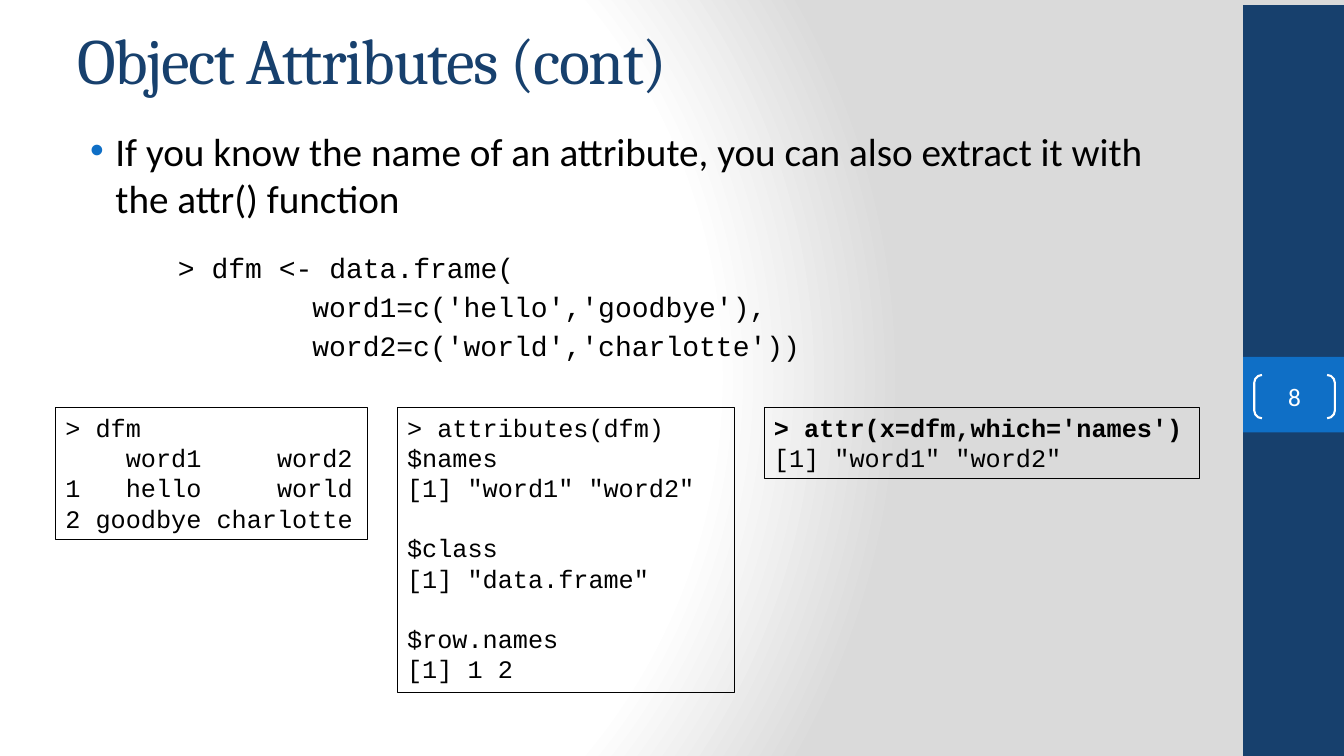
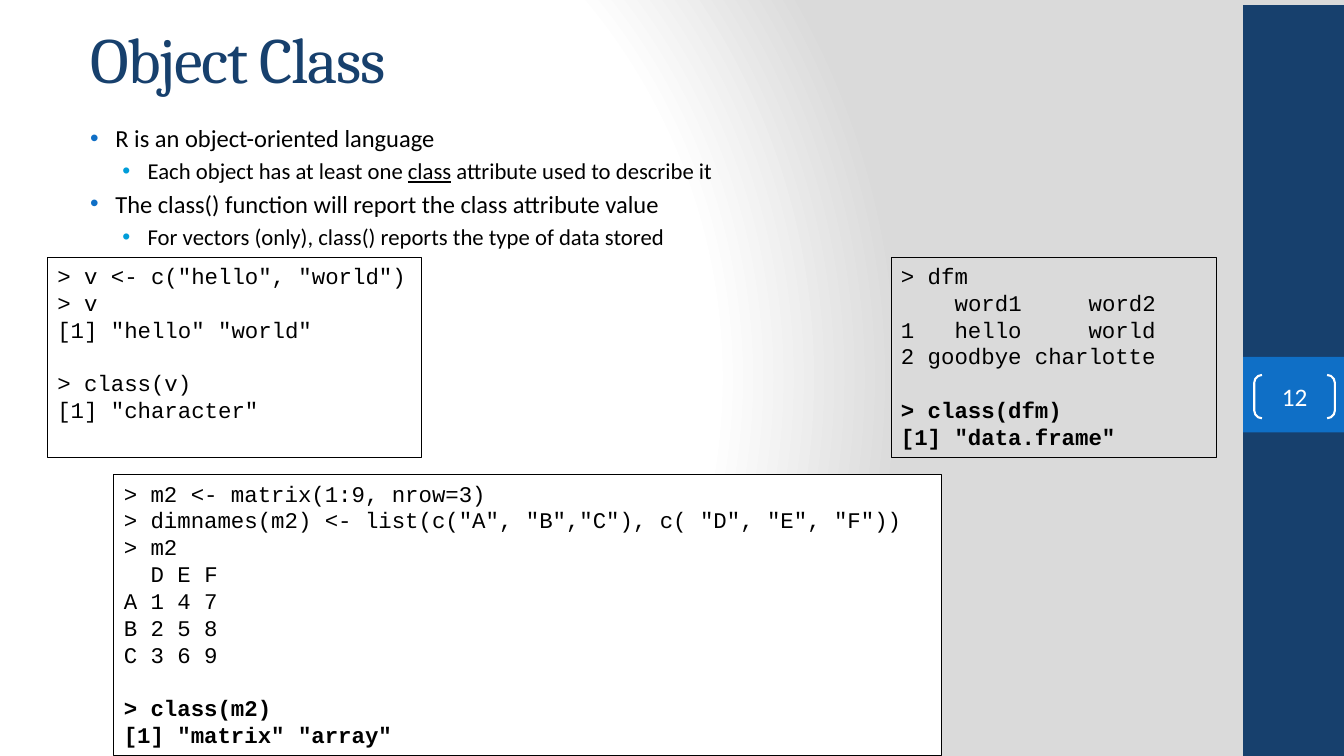
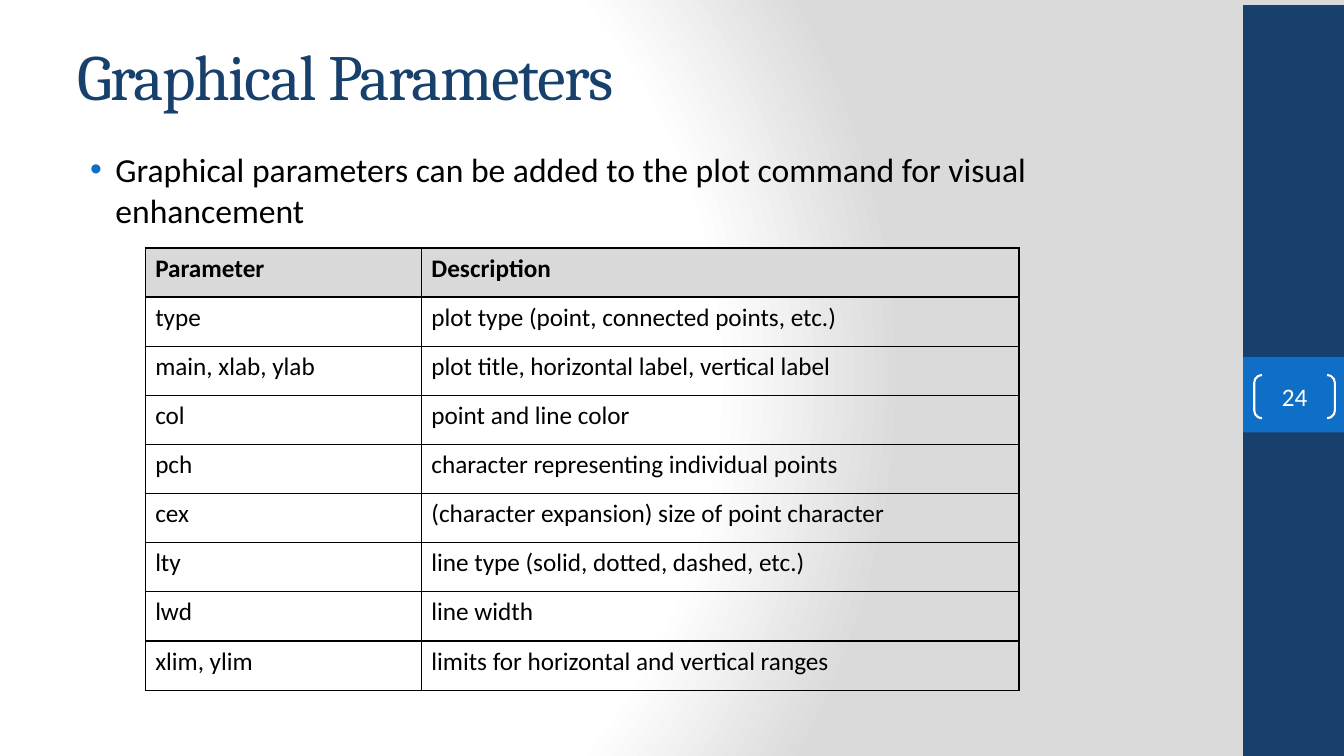
from lxml.etree import SubElement
from pptx import Presentation
from pptx.dml.color import RGBColor
from pptx.enum.shapes import MSO_SHAPE as Preset
from pptx.enum.text import MSO_ANCHOR as Anchor, PP_ALIGN as Align
from pptx.oxml import parse_xml
from pptx.oxml.ns import nsdecls, qn
from pptx.util import Inches, Pt

COLOURS = {
    "navy": "17406D",
    "blue": "0F6FC6",
    "cyan": "009DD9",
    "white": "FFFFFF",
    "black": "000000",
    "grey": "DADADA",
    "header": "D9D9D9",
}
HEADING, BODY, CODE = "Cambria", "Calibri", "Courier New"
WIDTH, HEIGHT = Inches(13.333), Inches(7.5)
COLUMN, ROW = WIDTH / 40, HEIGHT / 30
LEFT, TEXT_WIDTH = 2, 33.33
CHARACTER, GROUP_GAP = 0.6, 1.18
BULLETS = [("blue", 0.38), ("cyan", 0.7)]
HANGING = -0.25


def grid(left, top, width, height):
    return (round(left * COLUMN), round(top * ROW),
            round(width * COLUMN), round(height * ROW))


def colour(name):
    return RGBColor.from_string(COLOURS[name])


def style(paragraph, font, size, ink="black", bold=False):
    for run in paragraph.runs:
        run.font.name = font
        run.font.size = Pt(size)
        run.font.bold = bold
        run.font.color.rgb = colour(ink)


def set_indent(paragraph, margin, first_line=0):
    properties = paragraph._p.get_or_add_pPr()
    properties.set("marL", str(Inches(margin)))
    properties.set("indent", str(Inches(first_line)))


def next_paragraph(frame):
    last = frame.paragraphs[-1]
    return frame.add_paragraph() if last.runs else last


def add_text_box(slide, box):
    shape = slide.shapes.add_textbox(*grid(*box))
    shape.text_frame.word_wrap = True
    return shape


def set_background(master):
    master.background.fill.solid()
    solid = master.element.find(".//" + qn("p:bgPr"))[0]
    stops = "".join(
        f'<a:gs pos="{share * 1000}"><a:srgbClr val="{COLOURS[name]}"/></a:gs>'
        for share, name in [(0, "white"), (75, "white"), (100, "grey")])
    solid.getparent().replace(solid, parse_xml(
        f'<a:gradFill {nsdecls("a")} rotWithShape="1"><a:gsLst>{stops}</a:gsLst>'
        '<a:path path="circle"><a:fillToRect l="20000" t="50000" r="100000"'
        ' b="50000"/></a:path></a:gradFill>'))


def add_band(slide, box, fill):
    band = slide.shapes.add_shape(Preset.RECTANGLE, *grid(*box))
    band.shadow.inherit = False
    band.fill.solid()
    band.fill.fore_color.rgb = colour(fill)
    band.line.fill.background()


def add_page_number(slide, number):
    bracket = slide.shapes.add_shape(
        Preset.DOUBLE_BRACKET, *grid(37.33, 14.88, 2.4, 1.72))
    bracket.adjustments[0] = 0.179
    bracket.shadow.inherit = False
    bracket.fill.background()
    bracket.line.color.rgb = colour("white")
    bracket.line.width = Pt(1.5)
    frame = bracket.text_frame
    frame.margin_left = frame.margin_right = 0
    frame.margin_top = frame.margin_bottom = 0
    frame.vertical_anchor = Anchor.MIDDLE
    frame.text = str(number)
    frame.paragraphs[0].alignment = Align.CENTER
    style(frame.paragraphs[0], BODY, 18, "white")


def add_title(slide, text, top, height, indent):
    frame = add_text_box(slide, (LEFT, top, TEXT_WIDTH, height)).text_frame
    frame.vertical_anchor = Anchor.MIDDLE
    frame.text = text
    paragraph = frame.paragraphs[0]
    set_indent(paragraph, indent)
    style(paragraph, HEADING, 46, "navy")
    paragraph.runs[0].font._element.set("spc", "-100")


def start_slide(presentation, title, number, top, height, indent=0):
    slide = presentation.slides.add_slide(presentation.slide_layouts[6])
    add_band(slide, (37, 0.2, 3, 29.8), "navy")
    add_band(slide, (37, 14.16, 3, 3), "blue")
    add_title(slide, title, top, height, indent)
    add_page_number(slide, number)
    return slide


def add_body(slide, top, height):
    return add_text_box(slide, (LEFT, top, TEXT_WIDTH, height)).text_frame


def add_bullet(frame, text, size, level=0):
    ink, margin = BULLETS[level]
    paragraph = next_paragraph(frame)
    paragraph.level = level
    for position, part in enumerate(text.split("|")):
        run = paragraph.add_run()
        run.text = part
        run.font.underline = position % 2 == 1
    style(paragraph, BODY, size)
    paragraph.space_before = Pt(3.3)
    set_indent(paragraph, margin, HANGING)
    properties = paragraph._p.get_or_add_pPr()
    SubElement(SubElement(properties, qn("a:buClr")),
               qn("a:srgbClr")).set("val", COLOURS[ink])
    SubElement(properties, qn("a:buFont")).set("typeface", "Arial")
    SubElement(properties, qn("a:buChar")).set("char", "•")


def add_code_line(frame, text, size, margin=0, before=0, bold=False):
    code = text.lstrip(" ")
    paragraph = next_paragraph(frame)
    paragraph.text = code
    style(paragraph, CODE, size, bold=bold)
    paragraph.space_before = Pt(before)
    leading = len(text) - len(code)
    set_indent(paragraph, margin + leading * CHARACTER * size / 72)


def add_code_box(slide, box, size, groups, bold=(), fill=None):
    shape = add_text_box(slide, box)
    shape.line.color.rgb = colour("black")
    shape.line.width = Pt(0.75)
    if fill:
        shape.fill.solid()
        shape.fill.fore_color.rgb = colour(fill)
    for group_number, lines in enumerate(groups):
        for line_number, line in enumerate(lines):
            opens_group = group_number > 0 and line_number == 0
            add_code_line(shape.text_frame, line, size,
                          before=GROUP_GAP * size if opens_group else 0,
                          bold=line in bold)


def set_borders(cell):
    properties = cell._tc.get_or_add_tcPr()
    for side in ("lnL", "lnR", "lnT", "lnB"):
        border = SubElement(properties, qn(f"a:{side}"))
        border.set("w", str(Pt(1)))
        fill = SubElement(border, qn("a:solidFill"))
        SubElement(fill, qn("a:srgbClr")).set("val", COLOURS["black"])


def add_grid_table(slide, left, top, widths, row_height, rows):
    box = (left, top, sum(widths), row_height * len(rows))
    table = slide.shapes.add_table(len(rows), len(widths), *grid(*box)).table
    table.first_row = table.horz_banding = False
    for column, width in zip(table.columns, widths):
        column.width = round(width * COLUMN)
    for row_number, row in enumerate(rows):
        table.rows[row_number].height = round(row_height * ROW)
        for column_number, text in enumerate(row):
            cell = table.cell(row_number, column_number)
            set_borders(cell)
            if row_number == 0:
                cell.fill.solid()
                cell.fill.fore_color.rgb = colour("header")
            else:
                cell.fill.background()
            cell.text = text
            style(cell.text_frame.paragraphs[0], BODY, 18, bold=row_number == 0)


DATA_FRAME = ["> dfm"] + [
    f"{number:1}{first:>8}{second:>10}" for number, first, second in [
        ("", "word1", "word2"),
        ("1", "hello", "world"),
        ("2", "goodbye", "charlotte"),
    ]]


def build_attributes(presentation):
    slide = start_slide(presentation, "Object Attributes (cont)", 8, 0.6, 3.44)
    body = add_body(slide, 4.84, 24.68)
    add_bullet(body, "If you know the name of an attribute, you can also "
                     "extract it with the attr() function", 28)
    for line, before in [("> dfm <- data.frame(", 21),
                         ("        word1=c('hello','goodbye'),", 3.8),
                         ("        word2=c('world','charlotte'))", 3.8)]:
        add_code_line(body, line, 20, margin=1, before=before)
    top = 16.16
    names = '[1] "word1" "word2"'
    call = "> attr(x=dfm,which='names')"
    add_code_box(slide, (1.65, top, 9.3, 5.24), 18, [DATA_FRAME])
    add_code_box(slide, (11.82, top, 10.05, 11.32), 18, [
        ["> attributes(dfm)", "$names", names],
        ["$class", '[1] "data.frame"'],
        ["$row.names", "[1] 1 2"],
    ])
    add_code_box(slide, (22.74, top, 12.96, 2.84), 18, [[call, names]], bold=[call])


def build_class(presentation):
    slide = start_slide(presentation, "Object Class", 12, 0.56, 3.48, indent=0.13)
    body = add_body(slide, 4.68, 4.88)
    for text, size, level in [
        ("R is an object-oriented language", 17.5, 0),
        ("Each object has at least one |class| attribute used to describe it", 16.2, 1),
        ("The class() function will report the class attribute value", 17.5, 0),
        ("For vectors (only), class() reports the type of data stored", 16.2, 1),
    ]:
        add_bullet(body, text, size, level)
    top, height = 10.2, 7.96
    add_code_box(slide, (1.41, top, 11.13, height), 16, [
        ['> v <- c("hello", "world")', "> v", '[1] "hello" "world"'],
        ["> class(v)", '[1] "character"'],
    ])
    frame_class = ["> class(dfm)", '[1] "data.frame"']
    add_code_box(slide, (26.52, top, 9.69, height), 16,
                 [DATA_FRAME, frame_class], bold=frame_class)
    matrix_class = ["> class(m2)", '[1] "matrix" "array"']
    add_code_box(slide, (3.39, 18.84, 24.63, 11.16), 16, [
        ["> m2 <- matrix(1:9, nrow=3)",
         '> dimnames(m2) <- list(c("A", "B","C"), c( "D", "E", "F"))',
         "> m2", "  D E F", "A 1 4 7", "B 2 5 8", "C 3 6 9"],
        matrix_class,
    ], bold=matrix_class, fill="white")


def build_parameters(presentation):
    slide = start_slide(presentation, "Graphical Parameters", 24, 1.2, 3.52)
    add_bullet(add_body(slide, 5.72, 22.6),
               "Graphical parameters can be added to the plot command "
               "for visual enhancement", 24)
    add_grid_table(slide, 4.32, 9.84, [8.22, 17.79], 1.95, [
        ("Parameter", "Description"),
        ("type", "plot type (point, connected points, etc.)"),
        ("main, xlab, ylab", "plot title, horizontal label, vertical label"),
        ("col", "point and line color"),
        ("pch", "character representing individual points"),
        ("cex", "(character expansion) size of point character"),
        ("lty", "line type (solid, dotted, dashed, etc.)"),
        ("lwd", "line width"),
        ("xlim, ylim", "limits for horizontal and vertical ranges"),
    ])


def main():
    presentation = Presentation()
    presentation.slide_width, presentation.slide_height = WIDTH, HEIGHT
    set_background(presentation.slide_master)
    build_attributes(presentation)
    build_class(presentation)
    build_parameters(presentation)
    presentation.save("out.pptx")


main()
